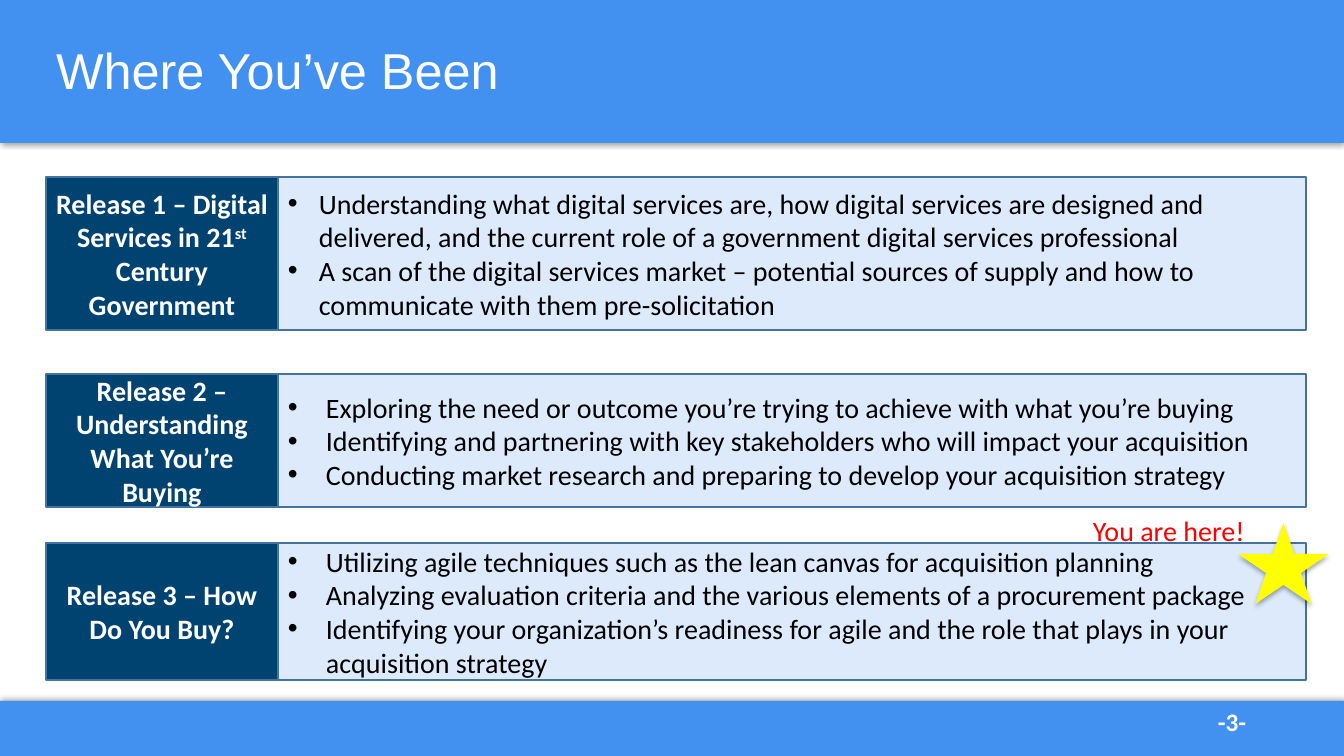
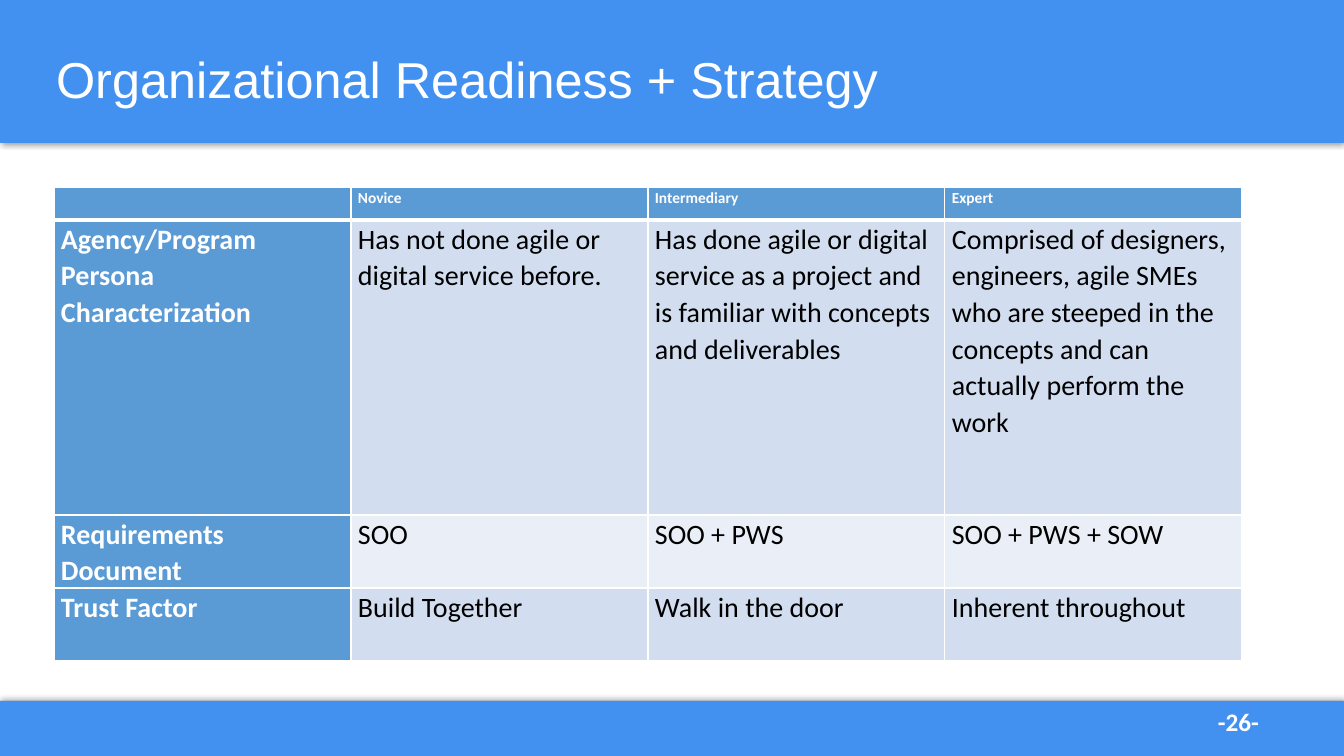
from dataclasses import dataclass
from typing import Any

from lxml.etree import SubElement
from pptx import Presentation
from pptx.dml.color import RGBColor
from pptx.enum.shapes import MSO_SHAPE
from pptx.enum.text import MSO_ANCHOR, MSO_AUTO_SIZE, PP_ALIGN
from pptx.oxml.ns import qn
from pptx.util import Emu, Pt

EMU_PER_PX = 914400 / 100.8
SLIDE_WIDTH, SLIDE_HEIGHT = 1344, 756


@dataclass(frozen=True)
class Theme:
    band: str = "4291F0"
    white: str = "FFFFFF"
    black: str = "000000"
    label: str = "004370"
    panel: str = "DCEAFC"
    outline: str = "43739E"
    star: str = "FFFF00"
    marker: str = "FF0000"
    table_head: str = "5B9BD5"
    table_rows: tuple[str, str] = ("D2DEEF", "EAEFF7")
    title_font: str = "Arial"
    body_font: str = "Calibri"
    title_size: int = 36
    body_size: int = 20
    number_size: int = 18
    head_size: int = 11


@dataclass(frozen=True)
class Area:
    left: int
    top: int
    width: int
    height: int

    def emu(self) -> tuple[Emu, ...]:
        return tuple(px(n) for n in (self.left, self.top, self.width, self.height))


@dataclass(frozen=True)
class Shadow:
    opacity: int
    blur: float
    distance: float
    angle: int


@dataclass(frozen=True)
class Release:
    top: int
    height: int
    indent: int
    label: tuple[str, ...]
    points: tuple[str, ...]


THEME = Theme()
LEFT, LABEL_WIDTH, PANEL_WIDTH = 46, 232, 1028
BANDS = (
    (Area(0, 701, SLIDE_WIDTH, 55), Shadow(40, 4, 1, 270)),
    (Area(0, 0, SLIDE_WIDTH, 143), Shadow(40, 4, 1, 90)),
)
RELEASES = (
    Release(177, 153, 31, ("Release 1 – Digital Services in 21", "st", " Century Government"), (
        "Understanding what digital services are, how digital services are designed and "
        "delivered, and the current role of a government digital services professional",
        "A scan of the digital services market – potential sources of supply and how to "
        "communicate with them pre-solicitation",
    )),
    Release(374, 133, 38, ("Release 2 – Understanding What You’re Buying",), (
        "Exploring the need or outcome you’re trying to achieve with what you’re buying",
        "Identifying and partnering with key stakeholders who will impact your acquisition",
        "Conducting market research and preparing to develop your acquisition strategy",
    )),
    Release(543, 137, 38, ("Release 3 – How Do You Buy?",), (
        "Utilizing agile techniques such as the lean canvas for acquisition planning",
        "Analyzing evaluation criteria and the various elements of a procurement package",
        "Identifying your organization’s readiness for agile and the role that plays in your "
        "acquisition strategy",
    )),
)
READINESS = (
    ("", "Novice", "Intermediary", "Expert"),
    (
        "Agency/Program Persona Characterization",
        "Has not done agile or digital service before.",
        "Has done agile or digital service as a project and is familiar with concepts "
        "and deliverables",
        "Comprised of designers, engineers, agile SMEs who are steeped in the concepts "
        "and can actually perform the work",
    ),
    ("Requirements Document", "SOO", "SOO + PWS", "SOO + PWS + SOW"),
    ("Trust Factor", "Build Together", "Walk in the door", "Inherent throughout"),
)
READINESS_HEIGHTS = (33, 295, 73, 73)
READINESS_COLUMN = 297


def px(length: int) -> Emu:
    return Emu(round(length * EMU_PER_PX))


def set_all(target: Any, values: dict[str, Any]) -> None:
    for name, value in values.items():
        setattr(target, name, value)


def add_span(para: Any, text: str, color: str, size: int = THEME.body_size,
             bold: bool = False, font: str = THEME.body_font) -> Any:
    span = para.add_run()
    span.text = text
    set_all(span.font, {"name": font, "size": Pt(size), "bold": bold})
    span.font.color.rgb = RGBColor.from_string(color)
    return span


def add_shadow(box: Any, shadow: Shadow) -> None:
    effects = box.element.spPr.find(qn("a:effectLst"))
    outer = SubElement(effects, qn("a:outerShdw"), {
        "blurRad": str(Pt(shadow.blur)), "dist": str(Pt(shadow.distance)),
        "dir": str(shadow.angle * 60000), "algn": "ctr", "rotWithShape": "0",
    })
    color = SubElement(outer, qn("a:srgbClr"), {"val": THEME.black})
    SubElement(color, qn("a:alpha"), {"val": str(shadow.opacity * 1000)})


def add_box(page: Any, area: Area, fill: str, line: str | None = None,
            shadow: Shadow | None = None, kind: MSO_SHAPE = MSO_SHAPE.RECTANGLE) -> Any:
    box = page.shapes.add_shape(kind, *area.emu())
    box.shadow.inherit = False
    box.fill.solid()
    box.fill.fore_color.rgb = RGBColor.from_string(fill)
    if line:
        box.line.color.rgb = RGBColor.from_string(line)
        box.line.width = Pt(1)
    else:
        box.line.fill.background()
    if shadow:
        add_shadow(box, shadow)
    set_all(box.text_frame, {"word_wrap": True, "vertical_anchor": MSO_ANCHOR.MIDDLE})
    return box


def add_text(page: Any, area: Area, text: str, color: str, size: int,
             bold: bool = False, wrap: bool = True) -> None:
    frame = page.shapes.add_textbox(*area.emu()).text_frame
    set_all(frame, {"word_wrap": wrap, "auto_size": MSO_AUTO_SIZE.SHAPE_TO_FIT_TEXT})
    add_span(frame.paragraphs[0], text, color, size, bold)


def add_bands(deck: Any, layout: Any) -> None:
    page = deck.slides[0]
    for area, shadow in BANDS:
        band = add_box(page, area, THEME.band, shadow=shadow)
        layout.shapes.element.insert(2, band.element)


def add_page(deck: Any, layout: Any, title: str, area: Area, number: int) -> Any:
    page = deck.slides.add_slide(layout)
    box = page.shapes.title
    set_all(box, dict(zip(("left", "top", "width", "height"), area.emu())))
    set_all(box.text_frame, {
        "word_wrap": True, "auto_size": MSO_AUTO_SIZE.NONE,
        "vertical_anchor": MSO_ANCHOR.MIDDLE,
    })
    para = box.text_frame.paragraphs[0]
    set_all(para, {"alignment": PP_ALIGN.LEFT, "line_spacing": 0.9})
    add_span(para, title, THEME.white, THEME.title_size, font=THEME.title_font)
    add_text(page, Area(1208, 701, 99, 40), f"-{number}-", THEME.white,
             THEME.number_size, bold=True)
    return page


def add_bullet(para: Any, indent: int) -> None:
    properties = para._p.get_or_add_pPr()
    properties.set("marL", str(px(indent)))
    properties.set("indent", str(-px(indent)))
    SubElement(properties, qn("a:buFont"), {"typeface": "Arial"})
    SubElement(properties, qn("a:buChar"), {"char": "•"})


def add_release(page: Any, release: Release) -> None:
    panel = add_box(page, Area(LEFT + LABEL_WIDTH, release.top, PANEL_WIDTH, release.height),
                    THEME.panel, THEME.outline)
    frame = panel.text_frame
    for index, point in enumerate(release.points):
        para = frame.add_paragraph() if index else frame.paragraphs[0]
        add_bullet(para, release.indent)
        para.alignment = PP_ALIGN.LEFT
        add_span(para, point, THEME.black)

    label = add_box(page, Area(LEFT, release.top, LABEL_WIDTH, release.height),
                    THEME.label, THEME.outline)
    para = label.text_frame.paragraphs[0]
    para.alignment = PP_ALIGN.CENTER
    for index, text in enumerate(release.label):
        span = add_span(para, text, THEME.white, bold=True)
        if index % 2:
            span._r.get_or_add_rPr().set("baseline", "30000")


def add_borders(cell: Any, row: int) -> None:
    properties = cell._tc.get_or_add_tcPr()
    widths = {"lnL": 1, "lnR": 1, "lnT": 3 if row == 1 else 1, "lnB": 3 if row == 0 else 1}
    for side, width in widths.items():
        line = SubElement(properties, qn(f"a:{side}"), {"w": str(Pt(width))})
        fill = SubElement(line, qn("a:solidFill"))
        SubElement(fill, qn("a:srgbClr"), {"val": THEME.white})


def fill_cell(cell: Any, text: str, row: int, column: int) -> None:
    heading = row == 0 or column == 0
    set_all(cell, {
        "margin_left": px(7), "margin_right": px(7), "margin_top": 0, "margin_bottom": 0,
    })
    add_borders(cell, row)
    cell.fill.solid()
    color = THEME.table_head if heading else THEME.table_rows[(row - 1) % 2]
    cell.fill.fore_color.rgb = RGBColor.from_string(color)
    if text:
        para = cell.text_frame.paragraphs[0]
        para.line_spacing = 1.07
        add_span(para, text, THEME.white if heading else THEME.black,
                 THEME.body_size if row else THEME.head_size, heading)


def add_readiness_table(page: Any) -> None:
    columns = len(READINESS[0])
    area = Area(54, 187, READINESS_COLUMN * columns, sum(READINESS_HEIGHTS))
    table = page.shapes.add_table(len(READINESS), columns, *area.emu()).table
    set_all(table, {"first_row": False, "horz_banding": False})
    for column in table.columns:
        column.width = px(READINESS_COLUMN)
    for row, texts in enumerate(READINESS):
        table.rows[row].height = px(READINESS_HEIGHTS[row])
        for column, text in enumerate(texts):
            fill_cell(table.cell(row, column), text, row, column)


def main() -> None:
    deck = Presentation()
    set_all(deck, {"slide_width": px(SLIDE_WIDTH), "slide_height": px(SLIDE_HEIGHT)})
    layout = deck.slide_layouts.get_by_name("Title Only")

    page = add_page(deck, layout, "Where You’ve Been", Area(LEFT, 0, 1092, 146), 3)
    add_bands(deck, layout)
    for release in RELEASES:
        add_release(page, release)
    add_box(page, Area(1238, 523, 91, 81), THEME.star,
            shadow=Shadow(32, 3.5, 2.2, 90), kind=MSO_SHAPE.STAR_5_POINT)
    add_text(page, Area(1083, 509, 173, 44), "You are here!", THEME.marker,
             THEME.body_size, wrap=False)

    page = add_page(deck, layout, "Organizational Readiness + Strategy",
                    Area(LEFT, 30, 1252, 105), 26)
    add_readiness_table(page)
    deck.save("out.pptx")


if __name__ == "__main__":
    main()
